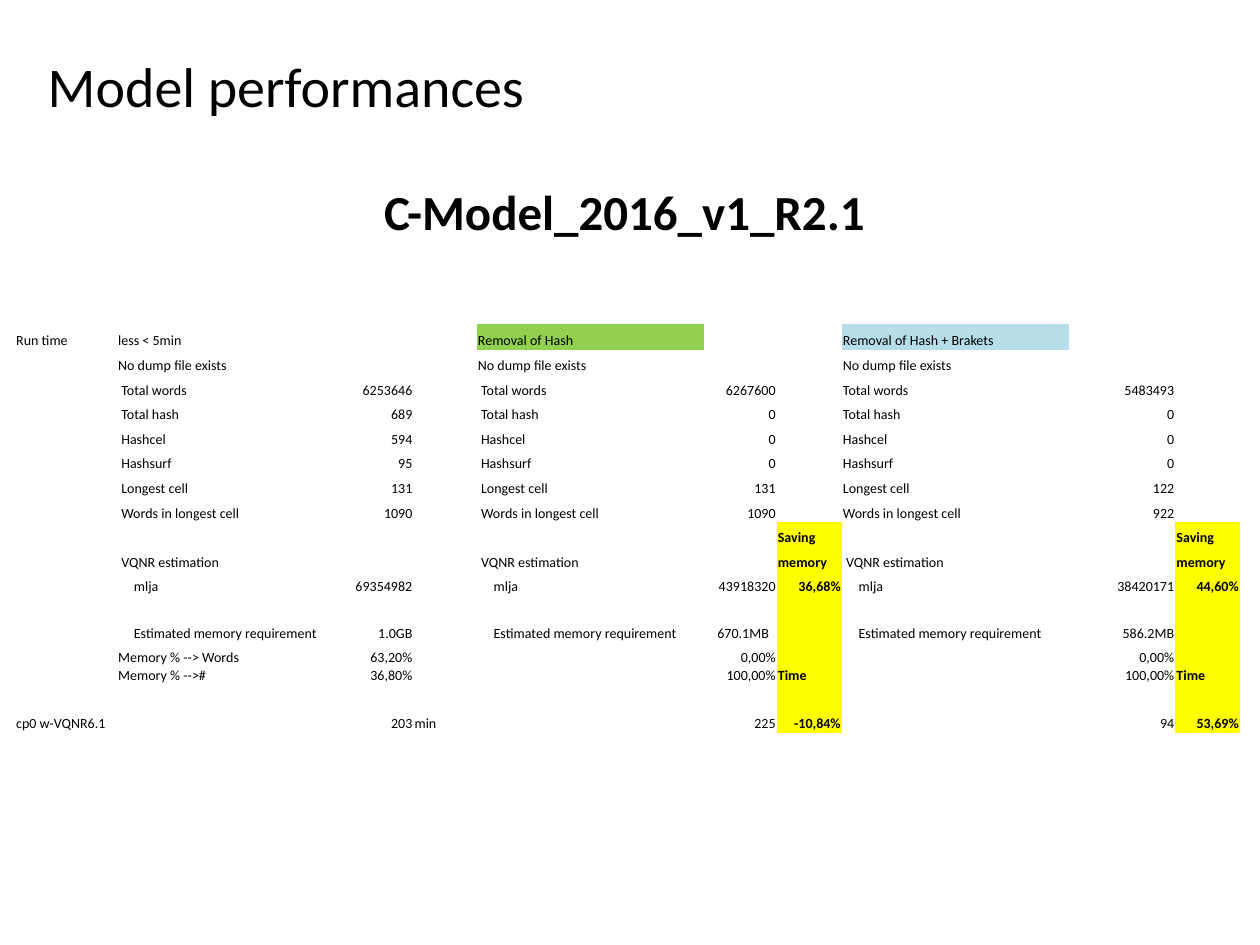
from dataclasses import dataclass

from lxml import etree
from pptx import Presentation
from pptx.dml.color import RGBColor
from pptx.enum.text import MSO_ANCHOR, PP_ALIGN
from pptx.oxml.ns import qn
from pptx.util import Pt

LEFT, CENTER, RIGHT = PP_ALIGN.LEFT, PP_ALIGN.CENTER, PP_ALIGN.RIGHT
MIDDLE, TOP, BOTTOM = MSO_ANCHOR.MIDDLE, MSO_ANCHOR.TOP, MSO_ANCHOR.BOTTOM
FONT = "Calibri"
NO_GRID_STYLE = "{2D5ABB26-0587-4C30-8999-92F81FD0307C}"
COLORS = {"text": "000000", "hash": "92D050", "brackets": "B7DEE8", "saving": "FFFF00"}
COLUMN_WIDTHS = [58.3, 127.4, 42, 36.2, 129.6, 41.8, 37.2, 129.6, 61, 36.9]
ROW_HEIGHTS = [14.8] + [14.08] * 10 + [26.4, 14.08, 8, 13.6, 14.06]
CELL_MARGIN = 0.6
SPACE = 1.8


@dataclass
class Heading:
    text: str
    left: float
    top: float
    width: float
    height: float
    size: float
    bold: bool
    align: PP_ALIGN
    anchor: MSO_ANCHOR


@dataclass
class Entry:
    row: int
    column: int
    text: str
    align: PP_ALIGN = LEFT
    bold: bool = False
    indent: float = 0


@dataclass
class Model:
    column: int
    title: str
    stat_indent: float
    stats: list[str]
    mlja: str
    memory: Entry
    shares: list[str]
    minutes: str


@dataclass
class Saving:
    column: int
    memory: str
    time: str


HEADINGS = [
    Heading("Model performances", 20.2, 14.6, 612, 67.7, 32, False, LEFT, MIDDLE),
    Heading("C-Model_2016_v1_R2.1", 209.5, 100.1, 294.5, 41, 28, True, CENTER, TOP),
]
STAT_LABELS = ["Total words", "Total hash", "Hashcel", "Hashsurf", "Longest cell", "Words in longest cell"]
MODELS = [
    Model(1, "less < 5min", SPACE, ["6253646", "689", "594", "95", "131", "1090"], "69354982",
          Entry(11, 2, "1.0GB", RIGHT), ["63,20%", "36,80%"], "203"),
    Model(4, "Removal of Hash", SPACE, ["6267600", "0", "0", "0", "131", "1090"], "43918320",
          Entry(11, 5, "670.1MB", indent=4 * SPACE), ["0,00%", "100,00%"], "225"),
    Model(7, "Removal of Hash + Brakets", 0, ["5483493", "0", "0", "0", "122", "922"], "38420171",
          Entry(11, 8, "586.2MB", RIGHT), ["0,00%", "100,00%"], "94"),
]
SAVINGS = [Saving(6, "36,68%", "-10,84%"), Saving(9, "44,60%", "53,69%")]
SINGLE_ENTRIES = [
    Entry(0, 0, "Run time"),
    Entry(12, 1, "Memory % --> Words"),
    Entry(13, 1, "Memory % -->#"),
    Entry(15, 0, "cp0 w-VQNR6.1"),
    Entry(15, 3, "min"),
]


def apply_format(target: object, values: dict) -> None:
    for name, value in values.items():
        setattr(target, name, value)


def write_text(paragraph, text: str, size: float, bold: bool, align: PP_ALIGN) -> None:
    paragraph.alignment = align
    run = paragraph.add_run()
    run.text = text
    apply_format(run.font, {"name": FONT, "size": Pt(size), "bold": bold})
    run.font.color.rgb = RGBColor.from_string(COLORS["text"])


def add_heading(slide, heading: Heading) -> None:
    box = slide.shapes.add_textbox(Pt(heading.left), Pt(heading.top), Pt(heading.width), Pt(heading.height))
    apply_format(box.text_frame, {"word_wrap": True, "vertical_anchor": heading.anchor})
    write_text(box.text_frame.paragraphs[0], heading.text, heading.size, heading.bold, heading.align)


def model_entries(model: Model) -> list[Entry]:
    label, value = model.column, model.column + 1
    entries = [
        Entry(0, label, model.title),
        Entry(1, label, "No dump file exists"),
        Entry(9, label, "VQNR estimation", indent=SPACE),
        Entry(10, label, "mlja", indent=5 * SPACE),
        Entry(10, value, model.mlja, RIGHT),
        Entry(11, label, "Estimated memory requirement", indent=5 * SPACE),
        model.memory,
        Entry(15, value, model.minutes, RIGHT),
    ]
    for row, (name, stat) in enumerate(zip(STAT_LABELS, model.stats), start=2):
        entries += [Entry(row, label, name, indent=model.stat_indent), Entry(row, value, stat, RIGHT)]
    return entries + [Entry(row, value, share, RIGHT) for row, share in enumerate(model.shares, start=12)]


def saving_entries(saving: Saving) -> list[Entry]:
    return [
        Entry(8, saving.column, "Saving", bold=True),
        Entry(9, saving.column, "memory", bold=True),
        Entry(10, saving.column, saving.memory, RIGHT, True),
        Entry(13, saving.column, "Time", bold=True),
        Entry(15, saving.column, saving.time, RIGHT, True),
    ]


def cell_fills() -> dict[tuple[int, int], str]:
    fills = {(row, saving.column): "saving" for saving in SAVINGS for row in range(8, 16)}
    return fills | {(0, 4): "hash", (0, 7): "brackets"}


def add_performance_table(slide) -> None:
    frame = slide.shapes.add_table(len(ROW_HEIGHTS), len(COLUMN_WIDTHS), Pt(8.64), Pt(185),
                                   Pt(sum(COLUMN_WIDTHS)), Pt(sum(ROW_HEIGHTS)))
    table = frame.table
    apply_format(table, {"first_row": False, "horz_banding": False})
    table._tbl.tblPr.find(qn("a:tableStyleId")).text = NO_GRID_STYLE
    for column, width in zip(table.columns, COLUMN_WIDTHS):
        column.width = Pt(width)
    for row, height in zip(table.rows, ROW_HEIGHTS):
        row.height = Pt(height)
    table.cell(15, 0).merge(table.cell(15, 1))

    entries = list(SINGLE_ENTRIES)
    for model in MODELS:
        entries += model_entries(model)
    for saving in SAVINGS:
        entries += saving_entries(saving)
    by_place = {(entry.row, entry.column): entry for entry in entries}
    fills = cell_fills()

    for row in range(len(ROW_HEIGHTS)):
        for column in range(len(COLUMN_WIDTHS)):
            cell = table.cell(row, column)
            entry = by_place.get((row, column))
            indent = entry.indent if entry else 0
            apply_format(cell, {
                "margin_left": Pt(CELL_MARGIN + indent), "margin_right": Pt(CELL_MARGIN),
                "margin_top": Pt(CELL_MARGIN), "margin_bottom": Pt(0), "vertical_anchor": BOTTOM,
            })
            paragraph = cell.text_frame.paragraphs[0]
            if entry:
                write_text(paragraph, entry.text, 8, entry.bold, entry.align)
            else:
                etree.SubElement(paragraph._p, qn("a:endParaRPr"), sz="800")
            if (row, column) in fills:
                cell.fill.solid()
                cell.fill.fore_color.rgb = RGBColor.from_string(COLORS[fills[row, column]])
            else:
                cell.fill.background()


presentation = Presentation()
apply_format(presentation, {"slide_width": Pt(720), "slide_height": Pt(540)})
slide = presentation.slides.add_slide(presentation.slide_layouts[6])
for heading in HEADINGS:
    add_heading(slide, heading)
add_performance_table(slide)
presentation.save("out.pptx")
